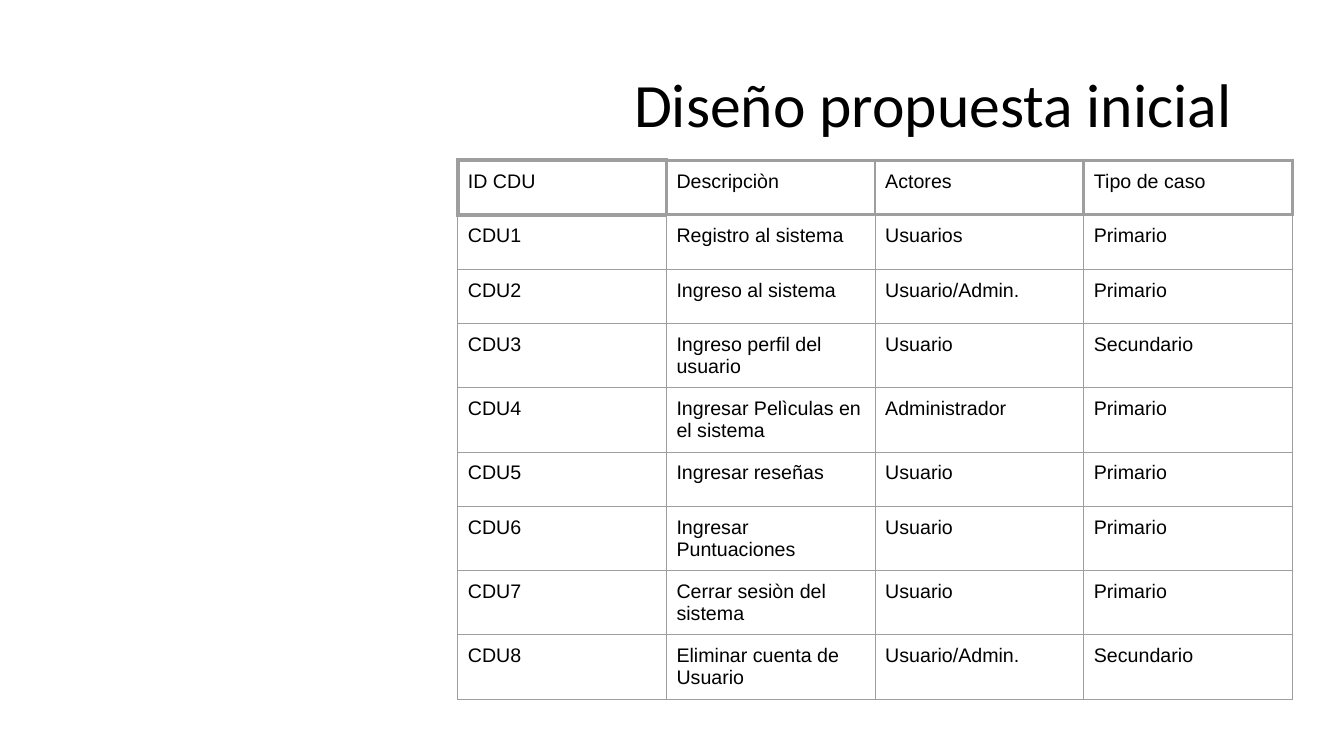
from dataclasses import dataclass

from lxml.etree import SubElement
from pptx import Presentation
from pptx.dml.color import RGBColor
from pptx.enum.text import MSO_ANCHOR, MSO_AUTO_SIZE, PP_ALIGN
from pptx.oxml.ns import qn
from pptx.util import Inches, Pt

COLORS = {"text": "000000", "border": "9E9E9E", "background": "FFFFFF"}
THIN, MEDIUM, THICK = 0.75, 2.25, 3
COLUMN_WIDTH, ROW_HEIGHT = 2.07, 0.54
TABLE_LEFT, TABLE_TOP = 4.54, 1.59


@dataclass(frozen=True)
class UseCase:
    identifier: str
    description: str
    actors: str
    kind: str

    def texts(self) -> list[str]:
        return [self.identifier, self.description, self.actors, self.kind]


@dataclass(frozen=True)
class Borders:
    """Line widths in points, in the order the cell properties need."""
    left: float = THIN
    right: float = THIN
    top: float = THIN
    bottom: float = THIN

    def by_tag(self) -> dict[str, float]:
        return {"a:lnL": self.left, "a:lnR": self.right,
                "a:lnT": self.top, "a:lnB": self.bottom}


HEADER = UseCase("ID CDU", "Descripciòn", "Actores", "Tipo de caso")
USE_CASES = [
    UseCase("CDU1", "Registro al sistema", "Usuarios", "Primario"),
    UseCase("CDU2", "Ingreso al sistema", "Usuario/Admin.", "Primario"),
    UseCase("CDU3", "Ingreso perfil del usuario", "Usuario", "Secundario"),
    UseCase("CDU4", "Ingresar Pelìculas en el sistema", "Administrador", "Primario"),
    UseCase("CDU5", "Ingresar reseñas", "Usuario", "Primario"),
    UseCase("CDU6", "Ingresar Puntuaciones", "Usuario", "Primario"),
    UseCase("CDU7", "Cerrar sesiòn del sistema", "Usuario", "Primario"),
    UseCase("CDU8", "Eliminar cuenta de Usuario", "Usuario/Admin.", "Secundario"),
]


def set_attributes(target, values: dict) -> None:
    for name, value in values.items():
        setattr(target, name, value)


def format_font(font, name: str, size: float) -> None:
    set_attributes(font, {"name": name, "size": Pt(size), "bold": False})
    font.color.rgb = RGBColor.from_string(COLORS["text"])


def borders_for(row: int, column: int) -> Borders:
    """Heavy lines frame the header, heaviest around its first cell."""
    if row == 0:
        if column == 0:
            return Borders(THICK, MEDIUM, THICK, THICK)
        return Borders(MEDIUM, MEDIUM, MEDIUM, MEDIUM)
    if row == 1:
        return Borders(top=THICK if column == 0 else MEDIUM)
    return Borders()


def draw_borders(cell, borders: Borders) -> None:
    properties = cell._tc.get_or_add_tcPr()
    for tag, width in borders.by_tag().items():
        line = SubElement(properties, qn(tag), w=str(Pt(width)), cap="flat", cmpd="sng")
        fill = SubElement(line, qn("a:solidFill"))
        SubElement(fill, qn("a:srgbClr"), val=COLORS["border"])
        SubElement(line, qn("a:prstDash"), val="solid")


def add_title(slide, text: str) -> None:
    title = slide.shapes.title
    set_attributes(title, {"left": Inches(5.5), "top": Inches(0.34),
                           "width": Inches(6.96), "height": Inches(1.45)})
    frame = title.text_frame
    frame.text = text
    set_attributes(frame, {
        "word_wrap": True, "auto_size": MSO_AUTO_SIZE.NONE,
        "vertical_anchor": MSO_ANCHOR.MIDDLE,
        "margin_left": Inches(0.1), "margin_right": Inches(0.1),
        "margin_top": Inches(0.05), "margin_bottom": Inches(0.05)})
    paragraph = frame.paragraphs[0]
    set_attributes(paragraph, {"alignment": PP_ALIGN.RIGHT, "line_spacing": 0.9})
    format_font(paragraph.runs[0].font, "Calibri", 44)


def fill_cell(cell, text: str, borders: Borders) -> None:
    cell.text = text
    set_attributes(cell, {f"margin_{side}": Inches(0.1)
                          for side in ("left", "right", "top", "bottom")})
    format_font(cell.text_frame.paragraphs[0].runs[0].font, "Arial", 14)
    draw_borders(cell, borders)
    cell.fill.background()


def add_use_case_table(slide, use_cases: list[UseCase]) -> None:
    rows, columns = len(use_cases), len(HEADER.texts())
    table = slide.shapes.add_table(
        rows, columns, Inches(TABLE_LEFT), Inches(TABLE_TOP),
        Inches(COLUMN_WIDTH * columns), Inches(ROW_HEIGHT * rows)).table
    set_attributes(table, {"first_row": False, "horz_banding": False})
    for row, use_case in enumerate(use_cases):
        for column, text in enumerate(use_case.texts()):
            fill_cell(table.cell(row, column), text, borders_for(row, column))


def main() -> None:
    presentation = Presentation()
    set_attributes(presentation, {"slide_width": Inches(13.33),
                                  "slide_height": Inches(7.5)})
    slide = presentation.slides.add_slide(presentation.slide_layouts[5])
    background = slide.background.fill
    background.solid()
    background.fore_color.rgb = RGBColor.from_string(COLORS["background"])
    add_title(slide, "Diseño propuesta inicial ")
    add_use_case_table(slide, [HEADER, *USE_CASES])
    presentation.save("out.pptx")


if __name__ == "__main__":
    main()
